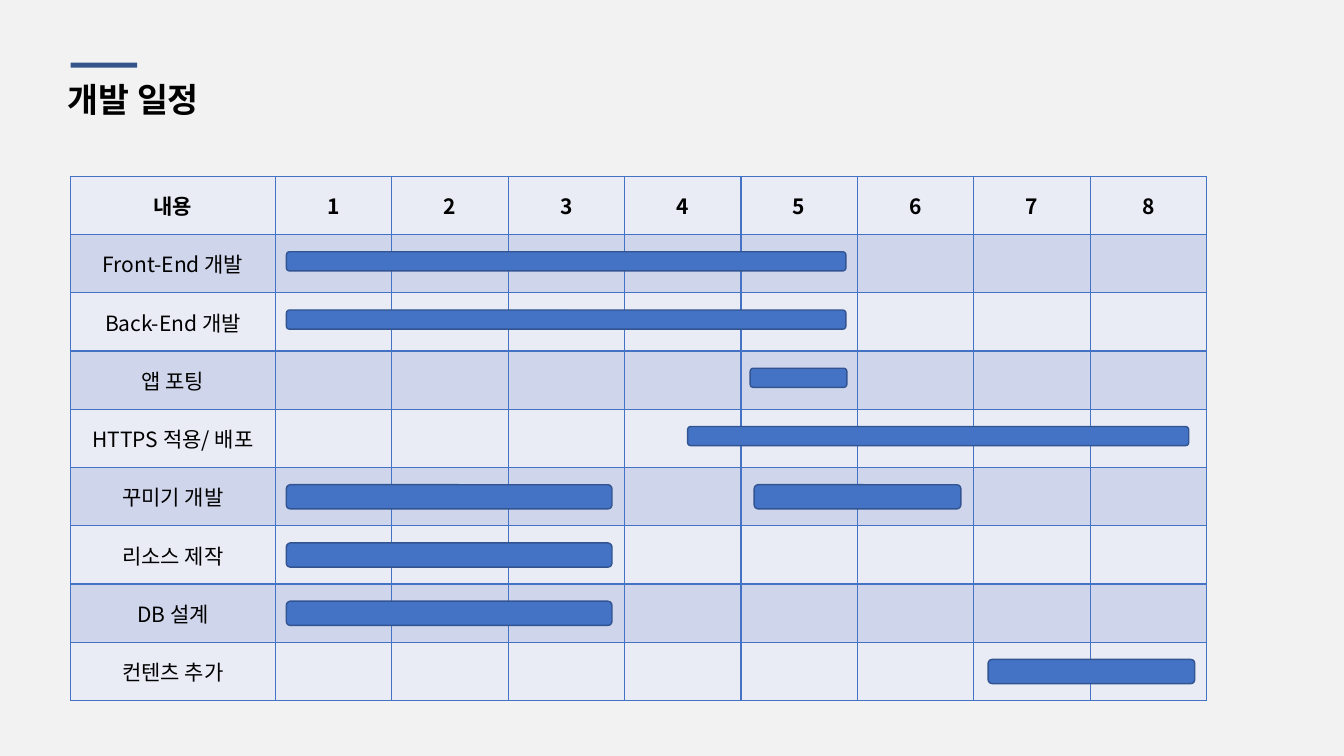
from dataclasses import dataclass

from lxml import etree
from pptx import Presentation
from pptx.dml.color import RGBColor
from pptx.enum.shapes import MSO_SHAPE
from pptx.enum.text import MSO_ANCHOR, PP_ALIGN
from pptx.oxml.ns import qn
from pptx.util import Inches, Pt

RECTANGLE, ROUNDED = MSO_SHAPE.RECTANGLE, MSO_SHAPE.ROUNDED_RECTANGLE
MIDDLE = MSO_ANCHOR.MIDDLE
LEFT, CENTER = PP_ALIGN.LEFT, PP_ALIGN.CENTER

FONT = "Noto Sans CJK KR"
COLORS = {
    "background": "F2F2F2",
    "accent": "34558B",
    "text": "000000",
    "light_row": "E9EBF5",
    "dark_row": "CFD5EA",
    "grid": "4472C4",
    "bar": "4472C4",
    "bar_line": "325491",
}
TABLE_LEFT, TABLE_TOP = 0.7, 1.75
TABLE_WIDTH, TABLE_HEIGHT = 11.27, 5.2
LABEL_WIDTH = 2.03
WEEKS = 8
BAR_OFFSET = 0.17
THIN, THICK = 0.19, 0.24
CELL_FORMAT = {
    "vertical_anchor": MIDDLE,
    "margin_left": Inches(0.08),
    "margin_right": Inches(0.08),
    "margin_top": Inches(0.04),
    "margin_bottom": Inches(0.04),
}


@dataclass
class Bar:
    left: float
    width: float
    height: float


@dataclass
class Task:
    name: str
    bars: list[Bar]


TASKS = [
    Task("Front-End 개발", [Bar(2.84, 5.55, THIN)]),
    Task("Back-End 개발", [Bar(2.84, 5.55, THIN)]),
    Task("앱 포팅", [Bar(7.44, 0.96, THIN)]),
    Task("HTTPS 적용/ 배포", [Bar(6.82, 4.97, THIN)]),
    Task("꾸미기 개발", [Bar(2.84, 3.23, THICK), Bar(7.48, 2.05, THICK)]),
    Task("리소스 제작", [Bar(2.84, 3.23, THICK)]),
    Task("DB 설계", [Bar(2.84, 3.23, THICK)]),
    Task("컨텐츠 추가", [Bar(9.8, 2.05, THICK)]),
]
ROW_HEIGHT = TABLE_HEIGHT / (len(TASKS) + 1)


def color(name: str) -> RGBColor:
    return RGBColor.from_string(COLORS[name])


def set_text(frame, text: str, size: float, bold: bool, alignment) -> None:
    para = frame.paragraphs[0]
    para.alignment = alignment
    span = para.add_run()
    span.text = text
    span.font.color.rgb = color("text")
    for name, value in {"size": Pt(size), "bold": bold, "name": FONT}.items():
        setattr(span.font, name, value)
    properties = span.font._element
    etree.SubElement(properties, qn("a:ea"), typeface=FONT)


def add_box(page, kind, left: float, top: float, width: float, height: float,
            fill: str, line: str | None = None) -> None:
    box = page.shapes.add_shape(
        kind, Inches(left), Inches(top), Inches(width), Inches(height))
    box.shadow.inherit = False
    box.fill.solid()
    box.fill.fore_color.rgb = color(fill)
    if line:
        box.line.color.rgb = color(line)
        box.line.width = Pt(1)
    else:
        box.line.fill.background()


def format_cell(cell, fill: str) -> None:
    """Apply margins, 1 pt borders on all sides and a fill."""
    for name, value in CELL_FORMAT.items():
        setattr(cell, name, value)
    properties = cell._tc.get_or_add_tcPr()
    for side in ("a:lnL", "a:lnR", "a:lnT", "a:lnB"):
        border = etree.SubElement(properties, qn(side), w=str(Pt(1)))
        solid = etree.SubElement(border, qn("a:solidFill"))
        etree.SubElement(solid, qn("a:srgbClr"), val=COLORS["grid"])
    cell.fill.solid()
    cell.fill.fore_color.rgb = color(fill)


def add_title(page) -> None:
    title = page.shapes.title
    place = {"left": 0.57, "top": 0.73, "width": 1.9, "height": 0.5}
    for name, value in place.items():
        setattr(title, name, Inches(value))
    title.text_frame.vertical_anchor = MIDDLE
    title.text_frame.word_wrap = False
    set_text(title.text_frame, "개발 일정", 24, True, LEFT)


def add_schedule(page) -> None:
    table = page.shapes.add_table(
        len(TASKS) + 1, WEEKS + 1, Inches(TABLE_LEFT), Inches(TABLE_TOP),
        Inches(TABLE_WIDTH), Inches(TABLE_HEIGHT)).table
    table.first_row = table.horz_banding = False
    for index, column in enumerate(table.columns):
        week_width = (TABLE_WIDTH - LABEL_WIDTH) / WEEKS
        column.width = Inches(week_width if index else LABEL_WIDTH)
    for index, row in enumerate(table.rows):
        row.height = Inches(ROW_HEIGHT)
        for cell in row.cells:
            format_cell(cell, "dark_row" if index % 2 else "light_row")
    headers = ["내용", *(str(week) for week in range(1, WEEKS + 1))]
    for index, header in enumerate(headers):
        set_text(table.cell(0, index).text_frame, header, 15, True, CENTER)
    for index, task in enumerate(TASKS, start=1):
        set_text(table.cell(index, 0).text_frame, task.name, 15, False, CENTER)


def add_bars(page) -> None:
    for index, task in enumerate(TASKS, start=1):
        top = TABLE_TOP + index * ROW_HEIGHT + BAR_OFFSET
        for bar in task.bars:
            add_box(page, ROUNDED, bar.left, top, bar.width, bar.height,
                    "bar", "bar_line")


def main() -> None:
    deck = Presentation()
    deck.slide_width, deck.slide_height = Inches(13.33), Inches(7.5)
    page = deck.slides.add_slide(deck.slide_layouts.get_by_name("Title Only"))
    page.background.fill.solid()
    page.background.fill.fore_color.rgb = color("background")
    add_box(page, RECTANGLE, TABLE_LEFT, 0.62, 0.66, 0.05, "accent")
    add_title(page)
    add_schedule(page)
    add_bars(page)
    deck.save("out.pptx")


if __name__ == "__main__":
    main()
